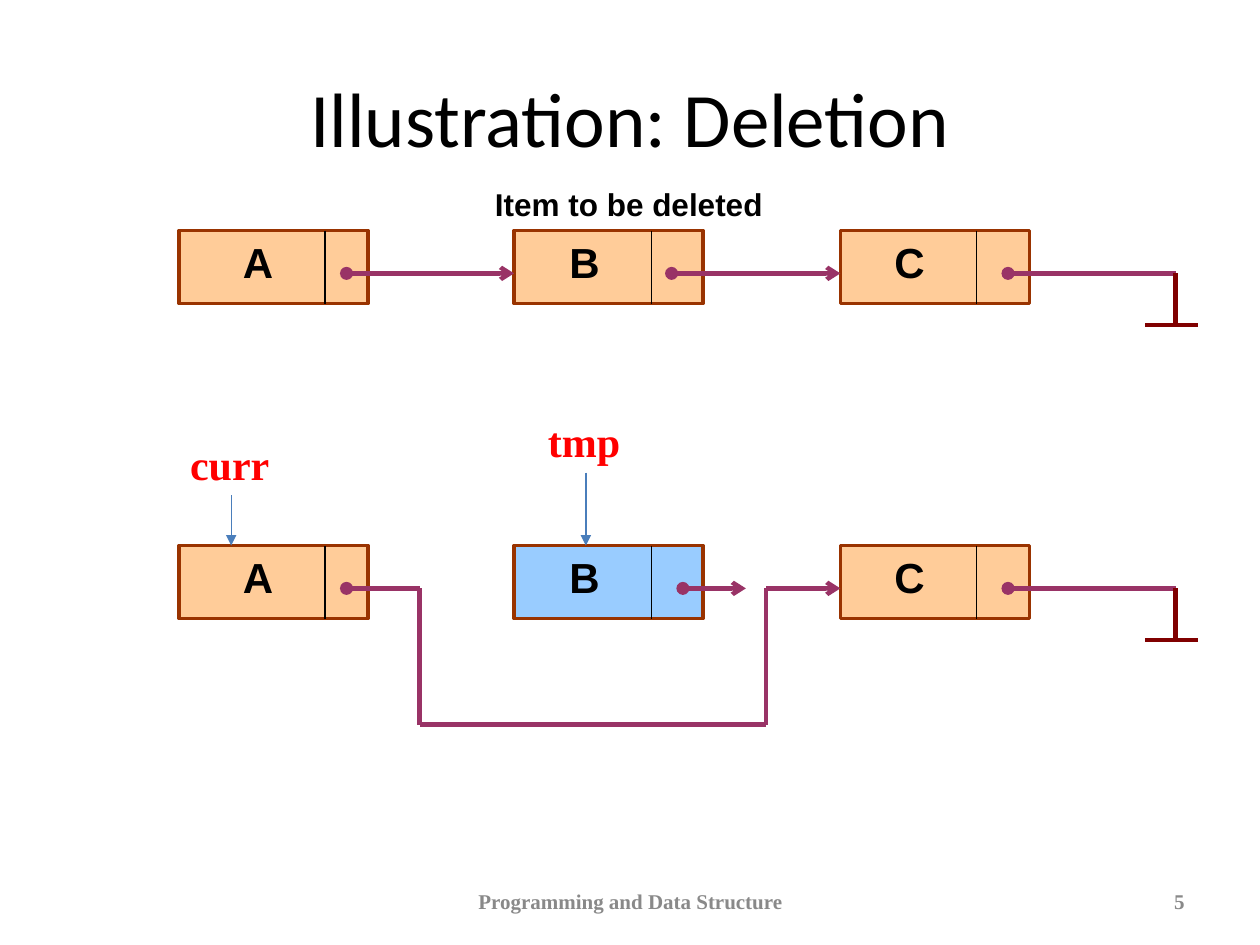
from dataclasses import dataclass

from lxml.etree import SubElement
from pptx import Presentation
from pptx.dml.color import RGBColor
from pptx.enum.shapes import MSO_CONNECTOR, MSO_SHAPE
from pptx.enum.text import MSO_ANCHOR, MSO_AUTO_SIZE, PP_ALIGN
from pptx.oxml.ns import qn
from pptx.shapes.autoshape import Shape
from pptx.shapes.connector import Connector
from pptx.slide import Slide
from pptx.text.text import TextFrame
from pptx.util import Inches, Pt


@dataclass(frozen=True)
class Theme:
    text: str = "000000"
    muted: str = "898989"
    variable: str = "FF0000"
    node: str = "FFCC99"
    deleted_node: str = "99CCFF"
    node_edge: str = "993300"
    link: str = "993366"
    ground: str = "800000"
    marker: str = "4A7EBB"
    title_font: str = "Calibri"
    node_font: str = "Arial"
    code_font: str = "Times New Roman"
    title_size: float = 44
    node_size: float = 24
    caption_size: float = 18
    footer_size: float = 12
    thin: float = 0.75
    edge: float = 2
    thick: float = 2.5


@dataclass(frozen=True)
class Node:
    letter: str
    left: float
    divider: float


@dataclass(frozen=True)
class Link:
    """A chain of straight segments through the given points."""
    points: tuple[tuple[float, float], ...]
    dot: bool = True
    arrow: bool = True


@dataclass(frozen=True)
class Label:
    text: str
    left: float
    top: float
    width: float
    height: float
    font: str
    size: float
    color: str
    align: PP_ALIGN = PP_ALIGN.LEFT
    anchor: MSO_ANCHOR = MSO_ANCHOR.TOP
    wrap: bool = True
    grow: bool = True


THEME = Theme()
NODE_WIDTH, NODE_HEIGHT = 1.5, 0.58
LINK_DROP = 0.34
TOP_ROW, BOTTOM_ROW = 1.83, 4.33
TOP_LINK, BOTTOM_LINK = TOP_ROW + LINK_DROP, BOTTOM_ROW + LINK_DROP
DETOUR = 5.75
GROUND_X = 9.33

NODES = (Node("A", 1.42, 2.58), Node("B", 4.08, 5.17), Node("C", 6.67, 7.75))
LINKS = (
    Link(((2.75, TOP_LINK), (4.08, TOP_LINK))),
    Link(((5.33, TOP_LINK), (6.67, TOP_LINK))),
    Link(((8, TOP_LINK), (GROUND_X, TOP_LINK)), arrow=False),
    Link(((2.75, BOTTOM_LINK), (3.33, BOTTOM_LINK), (3.33, DETOUR),
          (6.08, DETOUR), (6.08, BOTTOM_LINK), (6.67, BOTTOM_LINK))),
    Link(((5.42, BOTTOM_LINK), (5.92, BOTTOM_LINK))),
    Link(((8, BOTTOM_LINK), (GROUND_X, BOTTOM_LINK)), arrow=False),
)
CAPTIONS = (
    Label("Item to be deleted", 3.83, 1.42, 2.75, 0.4,
          THEME.node_font, THEME.caption_size, THEME.text),
    Label("Programming and Data Structure", 3.42, 6.95, 3.17, 0.4,
          THEME.code_font, THEME.footer_size, THEME.muted,
          PP_ALIGN.CENTER, MSO_ANCHOR.MIDDLE, grow=False),
    Label("5", 7.17, 6.95, 2.33, 0.4,
          THEME.code_font, THEME.footer_size, THEME.muted,
          PP_ALIGN.RIGHT, MSO_ANCHOR.MIDDLE, grow=False),
)
VARIABLES = tuple(
    Label(name, left, top, width, 0.5, THEME.code_font, THEME.node_size,
          THEME.variable, wrap=False)
    for name, left, top, width in (("curr", 1.41, 3.43, 0.85), ("tmp", 4.25, 3.25, 0.8))
)


def write_text(frame: TextFrame, text: str, font: str, size: float, color: str,
               align: PP_ALIGN, bold: bool = True) -> None:
    frame.text = text
    para = frame.paragraphs[0]
    para.alignment = align
    para.font.name = font
    para.font.size = Pt(size)
    para.font.bold = bold
    para.font.color.rgb = RGBColor.from_string(color)


def draw_label(page: Slide, label: Label) -> Shape:
    box = page.shapes.add_textbox(Inches(label.left), Inches(label.top),
                                  Inches(label.width), Inches(label.height))
    frame = box.text_frame
    write_text(frame, label.text, label.font, label.size, label.color, label.align)
    frame.word_wrap = label.wrap
    frame.vertical_anchor = label.anchor
    frame.auto_size = MSO_AUTO_SIZE.SHAPE_TO_FIT_TEXT if label.grow else MSO_AUTO_SIZE.NONE
    return box


def draw_line(page: Slide, start: tuple[float, float], end: tuple[float, float],
              color: str, width: float, head: str = "", tail: str = "") -> Connector:
    """Draw a straight line; head marks its start and tail its end."""
    line = page.shapes.add_connector(MSO_CONNECTOR.STRAIGHT, *map(Inches, start + end))
    line.line.color.rgb = RGBColor.from_string(color)
    line.line.width = Pt(width)
    outline = line.line._get_or_add_ln()
    for tag, kind in (("a:headEnd", head), ("a:tailEnd", tail)):
        if kind:
            SubElement(outline, qn(tag), type=kind)
    SubElement(line._element.spPr, qn("a:effectLst"))
    return line


def draw_node(page: Slide, node: Node, top: float, fill: str) -> None:
    box = page.shapes.add_shape(MSO_SHAPE.RECTANGLE, Inches(node.left), Inches(top),
                                Inches(NODE_WIDTH), Inches(NODE_HEIGHT))
    box.shadow.inherit = False
    box.fill.solid()
    box.fill.fore_color.rgb = RGBColor.from_string(fill)
    box.line.color.rgb = RGBColor.from_string(THEME.node_edge)
    box.line.width = Pt(THEME.edge)
    draw_line(page, (node.divider, top), (node.divider, top + NODE_HEIGHT),
              THEME.text, THEME.thin)
    draw_label(page, Label(node.letter, node.divider - 0.75, top, 0.67, 0.5,
                           THEME.node_font, THEME.node_size, THEME.text))


def draw_link(page: Slide, link: Link) -> None:
    last = len(link.points) - 2
    for index, (start, end) in enumerate(zip(link.points, link.points[1:])):
        draw_line(page, start, end, THEME.link, THEME.thick,
                  head="oval" if link.dot and index == 0 else "",
                  tail="arrow" if link.arrow and index == last else "")


def draw_ground(page: Slide, top: float) -> None:
    """Draw the null symbol that ends a list."""
    bottom = top + 0.41
    draw_line(page, (GROUND_X, top), (GROUND_X, bottom), THEME.ground, THEME.thick)
    draw_line(page, (9.09, bottom), (9.51, bottom), THEME.ground, THEME.thick)


def draw_variable(page: Slide, label: Label) -> None:
    """Draw a variable name with an arrow down to its node."""
    box = draw_label(page, label)
    middle = label.left + label.width / 2
    arrow = draw_line(page, (middle, label.top + label.height), (middle, BOTTOM_ROW),
                      THEME.marker, THEME.thin, tail="triangle")
    arrow.begin_connect(box, 2)


def main() -> None:
    deck = Presentation()
    deck.slide_width, deck.slide_height = Inches(10), Inches(7.5)
    page = deck.slides.add_slide(deck.slide_layouts[5])

    title = page.shapes.title
    title.left, title.top = Inches(0.5), Inches(0.3)
    title.width, title.height = Inches(9), Inches(1.25)
    title.text_frame.vertical_anchor = MSO_ANCHOR.MIDDLE
    write_text(title.text_frame, "Illustration: Deletion", THEME.title_font,
               THEME.title_size, THEME.text, PP_ALIGN.CENTER, bold=False)

    for top in (TOP_ROW, BOTTOM_ROW):
        for node in NODES:
            deleted = top == BOTTOM_ROW and node.letter == "B"
            draw_node(page, node, top, THEME.deleted_node if deleted else THEME.node)
    for link in LINKS:
        draw_link(page, link)
    for top in (TOP_LINK, BOTTOM_LINK):
        draw_ground(page, top)
    for caption in CAPTIONS:
        draw_label(page, caption)
    for variable in VARIABLES:
        draw_variable(page, variable)

    deck.save("out.pptx")


if __name__ == "__main__":
    main()
